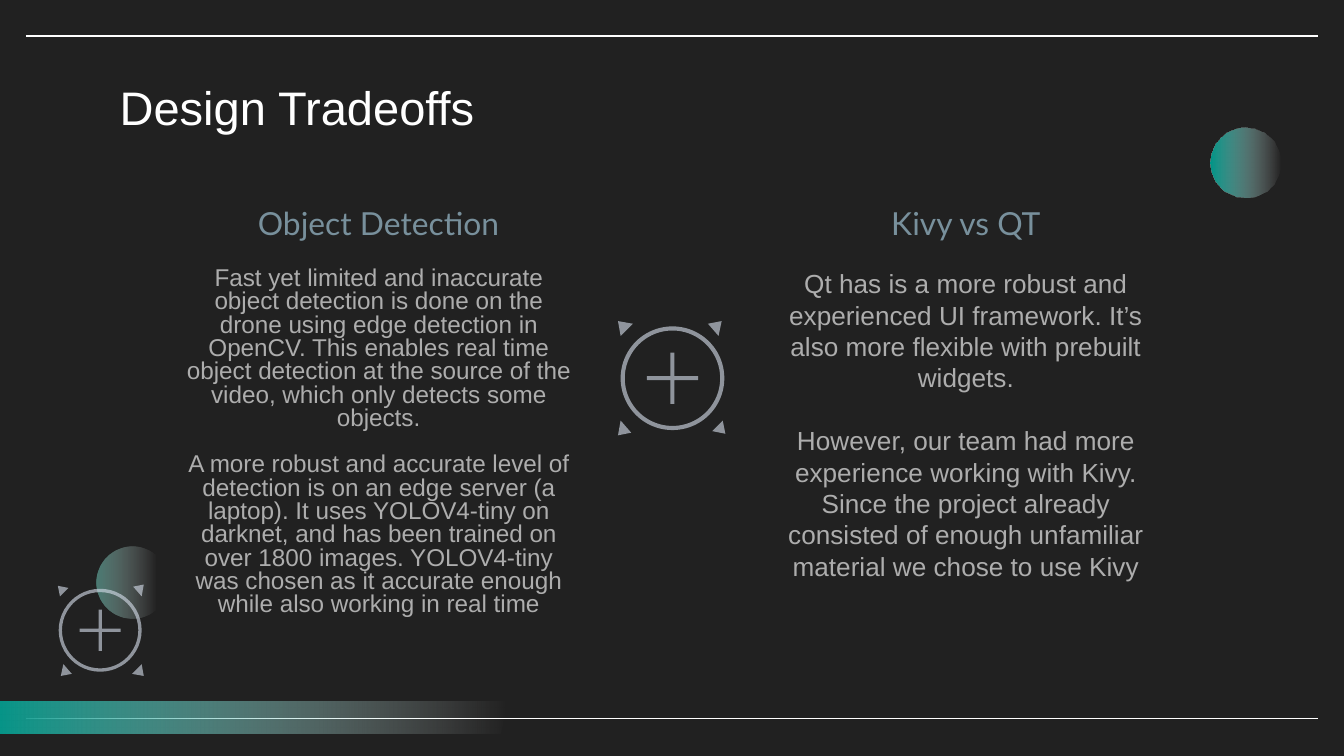
from lxml.etree import SubElement
from pptx import Presentation
from pptx.dml.color import RGBColor
from pptx.enum.shapes import MSO_CONNECTOR, MSO_SHAPE as Preset
from pptx.enum.text import MSO_ANCHOR as Anchor, MSO_AUTO_SIZE, PP_ALIGN as Align
from pptx.oxml.ns import qn
from pptx.util import Cm, Pt

WHITE, TEAL, MIST = "FFFFFF", "009688", "D6DEEB"
HEADING, BODY = "78909C", "ADADAD"
INSET = Cm(0.25)

OBJECT_DETECTION = [
    "Fast yet limited and inaccurate object detection is done on the drone using "
    "edge detection in OpenCV. This enables real time object detection at the source "
    "of the video, which only detects some objects.",
    "A more robust and accurate level of detection is on an edge server (a laptop). "
    "It uses YOLOV4-tiny on darknet, and has been trained on over 1800 images. "
    "YOLOV4-tiny was chosen as it accurate enough while also working in real time",
]
KIVY_VS_QT = [
    "Qt has is a more robust and experienced UI framework. It’s also more flexible "
    "with prebuilt widgets.",
    "However, our team had more experience working with Kivy. Since the project "
    "already consisted of enough unfamiliar material we chose to use Kivy",
]

RETICLE_WIDTH, RETICLE_HEIGHT = 2.06, 2.16
RETICLE_CORNERS = [
    [(0, 0), (0.05, 0.28), (0.28, 0.05)],
    [(1.98, 1.88), (1.78, 2.08), (2.03, 2.13)],
    [(1.96, 0), (1.7, 0.05), (1.9, 0.28)],
    [(0.05, 1.88), (0, 2.16), (0.25, 2.11)],
]


def rgb(hex_color):
    return RGBColor.from_string(hex_color)


def set_alpha(color_element, percent):
    SubElement(color_element, qn("a:alpha")).set("val", str(percent * 1000))


def fill_mist(shape):
    shape.shadow.inherit = False
    shape.line.fill.background()
    shape.fill.solid()
    shape.fill.fore_color.rgb = rgb(MIST)
    set_alpha(shape._element.spPr.find(".//" + qn("a:srgbClr")), 61)


def add_fade(slide, preset, box, color, opacity=100, fade_end=100):
    fade = slide.shapes.add_shape(preset, *map(Cm, box))
    fade.shadow.inherit = False
    fade.line.fill.background()
    fade.fill.gradient()
    fade.fill.gradient_angle = 0
    stops = fade.fill.gradient_stops
    ends = [(color, opacity, 0), (WHITE, 0, fade_end / 100)]
    for stop, (tint, alpha, position) in zip(stops, ends):
        stop.color.rgb = rgb(tint)
        stop.position = position
    tints = fade._element.spPr.findall(".//" + qn("a:srgbClr"))
    for tint, (_, alpha, _) in zip(tints, ends):
        set_alpha(tint, alpha)
    return fade


def add_frame(slide, left, top, width, height):
    for y in (top, top + height):
        rule = slide.shapes.add_connector(
            MSO_CONNECTOR.STRAIGHT, Cm(left), Cm(y), Cm(left + width), Cm(y))
        rule.line.color.rgb = rgb(WHITE)
        rule.line.width = Pt(0.75)
        SubElement(rule._element.spPr, qn("a:effectLst"))
    band = add_fade(slide, Preset.PARALLELOGRAM, (-0.28, 13.26, 9.88, 0.6), TEAL)
    band.adjustments[0] = 0.25


def fill_placeholder(holder, box, paragraphs, font, size, color,
                     align=Align.CENTER, anchor=Anchor.TOP, spacing=1.0, gap=0):
    holder.left, holder.top, holder.width, holder.height = map(Cm, box)
    frame = holder.text_frame
    frame.text = "\n".join(paragraphs)
    frame.word_wrap = True
    frame.auto_size = MSO_AUTO_SIZE.NONE
    frame.vertical_anchor = anchor
    frame.margin_left = frame.margin_right = INSET
    frame.margin_top = frame.margin_bottom = INSET
    for number, paragraph in enumerate(frame.paragraphs):
        paragraph.alignment = align
        paragraph.line_spacing = spacing
        paragraph.space_before = Pt(gap if number else 0)
        paragraph.font.name = font
        paragraph.font.size = Pt(size)
        paragraph.font.bold = False
        paragraph.font.color.rgb = rgb(color)
        properties = paragraph._p.get_or_add_pPr()
        properties.set("marL", "0")
        properties.set("indent", "0")
        SubElement(properties, qn("a:buNone"))
        default_run = properties.find(qn("a:defRPr"))
        properties.append(default_run)


def add_tradeoff(heading, body, box, topic, arguments, size, spacing, gap):
    left, top, width, height = box
    heading_height = 1.1
    fill_placeholder(heading, (left, top, width, heading_height), [topic],
                     "Lato", 17, HEADING, anchor=Anchor.BOTTOM, spacing=0.8)
    fill_placeholder(body, (left, top + heading_height, width, height - heading_height),
                     arguments, "Arial", size, BODY, spacing=spacing, gap=gap)


def add_reticle(slide, left, top, scale=1, turned=False):
    def place(x, y):
        if turned:
            x, y = RETICLE_WIDTH - x, RETICLE_HEIGHT - y
        return Cm(left + x * scale), Cm(top + y * scale)

    for preset, x, y, size, thickness in [
        (Preset.MATH_PLUS, 0.37, 0.42, 1.32, 0.058),
        (Preset.DONUT, 0.05, 0.1, 1.96, 0.04),
    ]:
        part = slide.shapes.add_shape(
            preset, Cm(left + x * scale), Cm(top + y * scale),
            Cm(size * scale), Cm(size * scale))
        part.adjustments[0] = thickness
        fill_mist(part)
    for corner in RETICLE_CORNERS:
        start, *others = [place(x, y) for x, y in corner]
        outline = slide.shapes.build_freeform(*start)
        outline.add_line_segments(others, close=True)
        fill_mist(outline.convert_to_shape())


def main():
    deck = Presentation()
    deck.slide_width, deck.slide_height = Cm(25.4), Cm(14.29)
    slide = deck.slides.add_slide(deck.slide_layouts.get_by_name("Comparison"))
    slide.background.fill.solid()
    slide.background.fill.fore_color.rgb = rgb("212121")
    title, left_heading, left_body, right_heading, right_body = slide.placeholders

    add_frame(slide, 0.49, 0.68, 24.42, 12.9)
    fill_placeholder(title, (2.01, 1.22, 21.41, 1.6), ["Design Tradeoffs"],
                     "Arial", 25.2, WHITE, align=Align.LEFT, anchor=Anchor.MIDDLE)
    add_tradeoff(left_heading, left_body, (3.18, 3.71, 7.95, 8.44),
                 "Object Detection", OBJECT_DETECTION, 13, 0.8, 12.4)
    add_tradeoff(right_heading, right_body, (14.28, 3.71, 7.95, 8.44),
                 "Kivy vs QT", KIVY_VS_QT, 14, 1.0, 16.8)
    add_reticle(slide, 11.68, 6.07)
    add_fade(slide, Preset.OVAL, (1.83, 10.34, 1.35, 1.35), "68BAAC", 59, 83)
    add_reticle(slide, 1.07, 11.05, scale=0.8, turned=True)
    add_fade(slide, Preset.OVAL, (22.87, 2.41, 1.33, 1.33), TEAL)
    deck.save("out.pptx")


if __name__ == "__main__":
    main()
